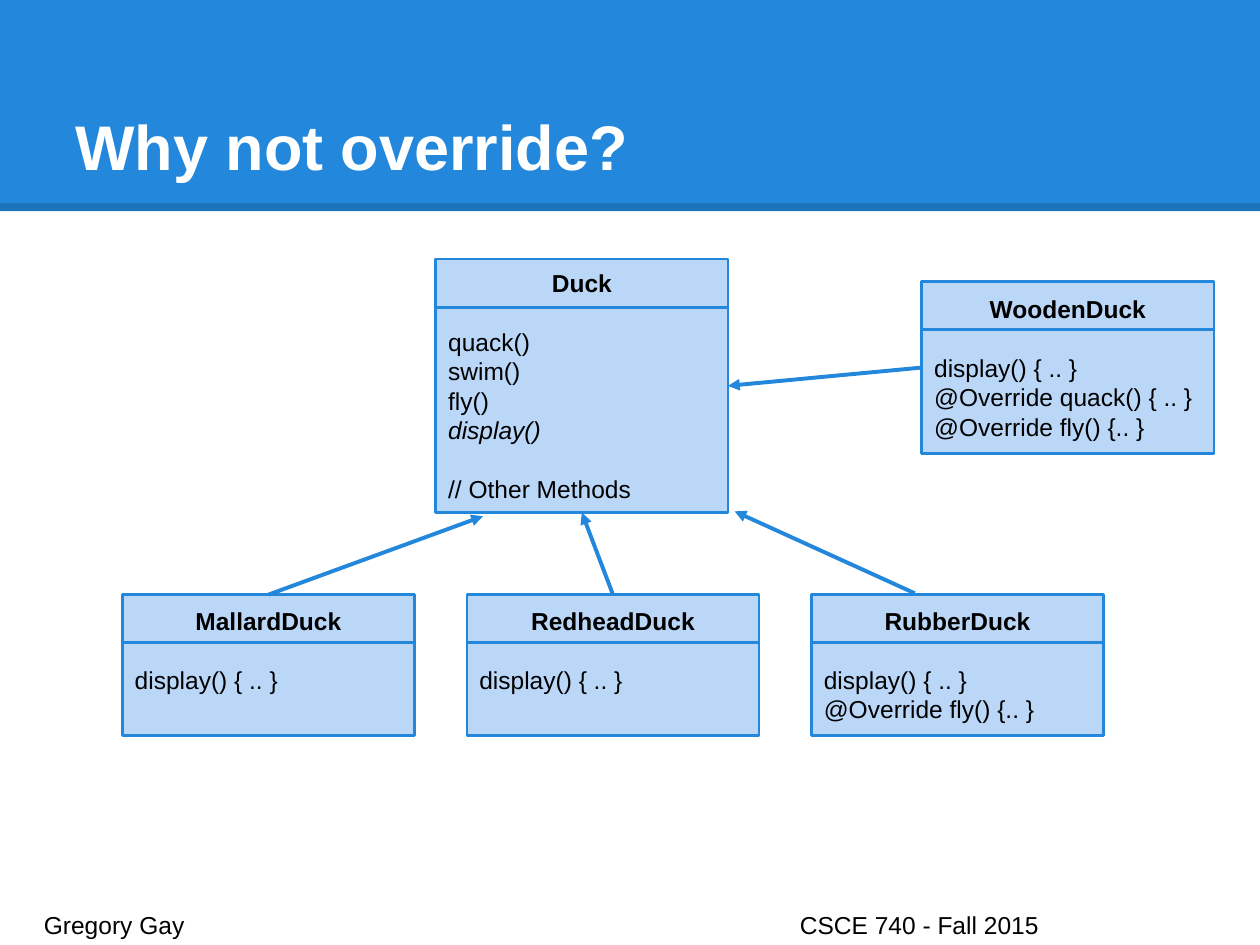
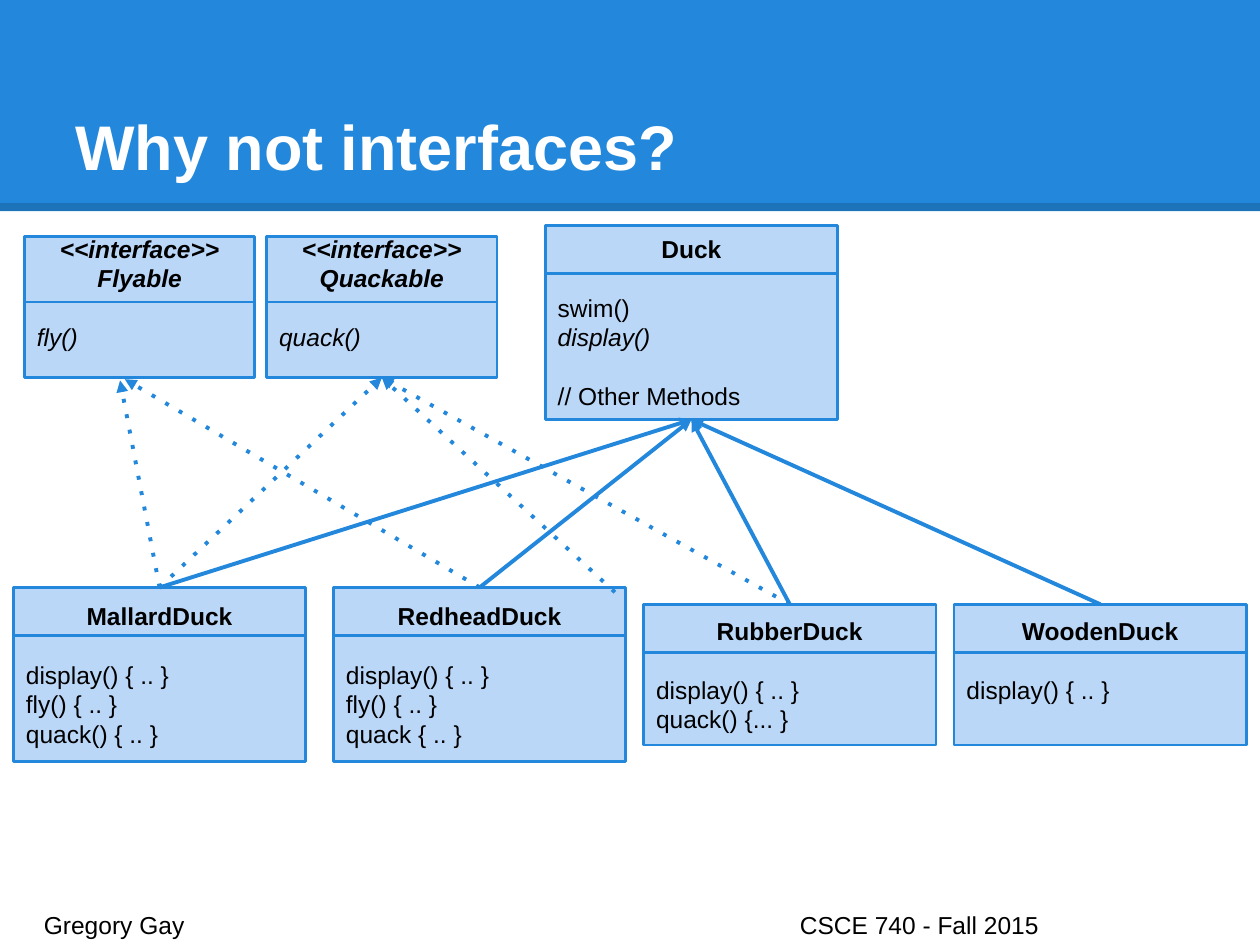
"""Build two slides of duck class diagrams, one on overriding and one on interfaces."""
from dataclasses import dataclass

from lxml import etree
from pptx import Presentation
from pptx.dml import color
from pptx.enum import shapes, text
from pptx.oxml import ns
from pptx.util import Pt


@dataclass(frozen=True)
class Theme:
    font: str = "Arial"
    blue: str = "2388DB"
    pale: str = "BBD7F8"
    black: str = "000000"
    white: str = "FFFFFF"
    title_size: float = 36
    body_size: float = 14
    leading: float = 16.8
    inset: float = 7.2
    outline: float = 1.5
    arrow: float = 2.25


@dataclass
class UmlClass:
    name: str
    left: float
    top: float
    height: float
    methods: tuple
    abstract: tuple = ()
    note: str = ""
    stereotype: str = ""
    spare_lines: int = 0
    width: float = 167
    header: float = 27.5


THEME = Theme()
WIDTH, HEIGHT = 720, 540
TOP, LEFT, BOTTOM, RIGHT = range(4)
FOOTER = "Gregory Gay\tCSCE 740 - Fall 2015"
FOOTER_TAB = 432
DISPLAY = "display() { .. }"
FLY_OVERRIDE = "@Override fly() {.. }"
OTHER = "// Other Methods"


def spread(first, pitch, count):
    return [first + pitch * index for index in range(count)]


def interface(name, left, method):
    return UmlClass(name, left, 135.2, 80.6, (method,), (method,), stereotype="<<interface>>",
                    spare_lines=1, width=131.6, header=37.3)


ROW = spread(69.9, 196.9, 3)
TALL = spread(7.7, 182.9, 2)
SHORT = spread(367.8, 177.4, 2)

SLIDES = [
    {
        "title": "Why not override?",
        "classes": [
            UmlClass("Duck", 249, 148.1, 144.8, ("quack()", "swim()", "fly()", "display()"),
                     ("display()",), OTHER),
            UmlClass("MallardDuck", ROW[0], 339.8, 80.4, (DISPLAY,), spare_lines=1),
            UmlClass("RedheadDuck", ROW[1], 339.8, 80.4, (DISPLAY,), spare_lines=1),
            UmlClass("RubberDuck", ROW[2], 339.8, 80.4, (DISPLAY, FLY_OVERRIDE)),
            UmlClass("WoodenDuck", 526.7, 160.8, 98.5,
                     (DISPLAY, "@Override quack() { .. }", FLY_OVERRIDE)),
        ],
        "extends": [
            (("MallardDuck", TOP), (276, 295)),
            (("RedheadDuck", TOP), ("Duck", BOTTOM)),
            ((522.7, 339), (419.8, 292.2)),
            (("WoodenDuck", LEFT), ("Duck", RIGHT)),
        ],
        "implements": [],
    },
    {
        "title": "Why not interfaces?",
        "classes": [
            UmlClass("Duck", 311.6, 128.8, 111, ("swim()", "display()"), ("display()",), OTHER),
            UmlClass("MallardDuck", TALL[0], 335.7, 99.6,
                     (DISPLAY, "fly() { .. }", "quack() { .. }")),
            UmlClass("RedheadDuck", TALL[1], 335.7, 99.6,
                     (DISPLAY, "fly() { .. }", "quack { .. }")),
            UmlClass("RubberDuck", SHORT[0], 345.3, 80.4, (DISPLAY, "quack() {... }")),
            UmlClass("WoodenDuck", SHORT[1], 345.3, 80.4, (DISPLAY,), spare_lines=1),
            interface("Flyable", 14, "fly()"),
            interface("Quackable", 152.4, "quack()"),
        ],
        "extends": [((name, TOP), ("Duck", BOTTOM))
                    for name in ("MallardDuck", "RedheadDuck", "RubberDuck", "WoodenDuck")],
        "implements": [
            (("MallardDuck", TOP), (68.6, 217.4)),
            (("RedheadDuck", TOP), (71.3, 216.7)),
            (("MallardDuck", TOP), ("Quackable", BOTTOM)),
            ((351.4, 338.4), ("Quackable", BOTTOM)),
            (("RubberDuck", TOP), ("Quackable", BOTTOM)),
        ],
    },
]


def rgb(value):
    return color.RGBColor.from_string(value)


def style(para, size=THEME.body_size, shade=THEME.black, bold=False, italic=False):
    font = para.font
    font.name, font.size, font.bold, font.italic = THEME.font, Pt(size), bold, italic
    font.color.rgb = rgb(shade)


def set_frame(frame, anchor, bottom=THEME.inset):
    frame.word_wrap = True
    frame.vertical_anchor = anchor
    frame.margin_left = frame.margin_right = frame.margin_top = Pt(THEME.inset)
    frame.margin_bottom = Pt(bottom)


def add_text(page, content, left, top, width, height, anchor):
    box = page.shapes.add_textbox(Pt(left), Pt(top), Pt(width), Pt(height))
    set_frame(box.text_frame, anchor)
    para = box.text_frame.paragraphs[0]
    para.text = content
    return para


def add_rectangle(page, left, top, width, height, fill):
    box = page.shapes.add_shape(shapes.MSO_SHAPE.RECTANGLE,
                                Pt(left), Pt(top), Pt(width), Pt(height))
    box.shadow.inherit = False
    box.fill.solid()
    box.fill.fore_color.rgb = rgb(fill)
    box.line.fill.background()
    return box


def add_line(page, start, end, weight, shade=THEME.blue):
    line = page.shapes.add_connector(shapes.MSO_CONNECTOR.STRAIGHT,
                                     *(Pt(value) for value in (*start, *end)))
    line.line.color.rgb = rgb(shade)
    line.line.width = Pt(weight)
    etree.SubElement(line._element.spPr, ns.qn("a:effectLst"))
    return line


def add_chrome(page, title):
    add_rectangle(page, 0, 0, WIDTH, 120.7, THEME.blue)
    rule = add_line(page, (0, 118.3), (WIDTH, 118.3), 4.5, THEME.black)
    shade = rule.line._ln.find(".//" + ns.qn("a:srgbClr"))
    etree.SubElement(shade, ns.qn("a:alpha"), val="15000")

    heading = add_text(page, title, 36, 21.6, 648, 90, text.MSO_ANCHOR.BOTTOM)
    style(heading, THEME.title_size, THEME.white, bold=True)

    footer = add_text(page, FOOTER, 18, 512.6, 684, 21.6, text.MSO_ANCHOR.TOP)
    tabs = etree.SubElement(footer._p.get_or_add_pPr(), ns.qn("a:tabLst"))
    etree.SubElement(tabs, ns.qn("a:tab"), pos=str(Pt(FOOTER_TAB)), algn="l")
    style(footer)


def add_class(page, uml):
    box = add_rectangle(page, uml.left, uml.top, uml.width, uml.height, THEME.pale)
    box.line.color.rgb = rgb(THEME.blue)
    box.line.width = Pt(THEME.outline)
    frame = box.text_frame
    set_frame(frame, text.MSO_ANCHOR.MIDDLE, THEME.inset + uml.spare_lines * THEME.leading)

    headings = [line for line in (uml.stereotype, uml.name) if line]
    notes = [uml.note] if uml.note else []
    lines = [*headings, *uml.methods, *notes]
    for index, line in enumerate(lines):
        para = frame.paragraphs[0] if index == 0 else frame.add_paragraph()
        para.text = line
        is_heading = index < len(headings)
        para.alignment = text.PP_ALIGN.CENTER if is_heading else text.PP_ALIGN.LEFT
        para.line_spacing = Pt(THEME.leading)
        if index == len(headings) or line == uml.note:
            para.space_before = Pt(THEME.leading)
        italic = bool(uml.stereotype) if is_heading else line in uml.abstract
        style(para, bold=is_heading, italic=italic)

    level = uml.top + uml.header
    add_line(page, (uml.left, level), (uml.left + uml.width, level), THEME.outline)
    return box


def add_arrow(page, boxes, start, end, dotted):
    free = [(0, 0) if isinstance(place[0], str) else place for place in (start, end)]
    arrow = add_line(page, *free, THEME.arrow)
    for place, connect in ((start, arrow.begin_connect), (end, arrow.end_connect)):
        if isinstance(place[0], str):
            connect(boxes[place[0]], place[1])
    outline = arrow.line._ln
    if dotted:
        etree.SubElement(outline, ns.qn("a:prstDash"), val="dot")
    etree.SubElement(outline, ns.qn("a:tailEnd"), type="triangle", w="med", len="med")


def main():
    deck = Presentation()
    deck.slide_width, deck.slide_height = Pt(WIDTH), Pt(HEIGHT)
    for content in SLIDES:
        page = deck.slides.add_slide(deck.slide_layouts[6])
        add_chrome(page, content["title"])
        boxes = {uml.name: add_class(page, uml) for uml in content["classes"]}
        for relation in ("extends", "implements"):
            for start, end in content[relation]:
                add_arrow(page, boxes, start, end, relation == "implements")
    deck.save("out.pptx")


if __name__ == "__main__":
    main()
